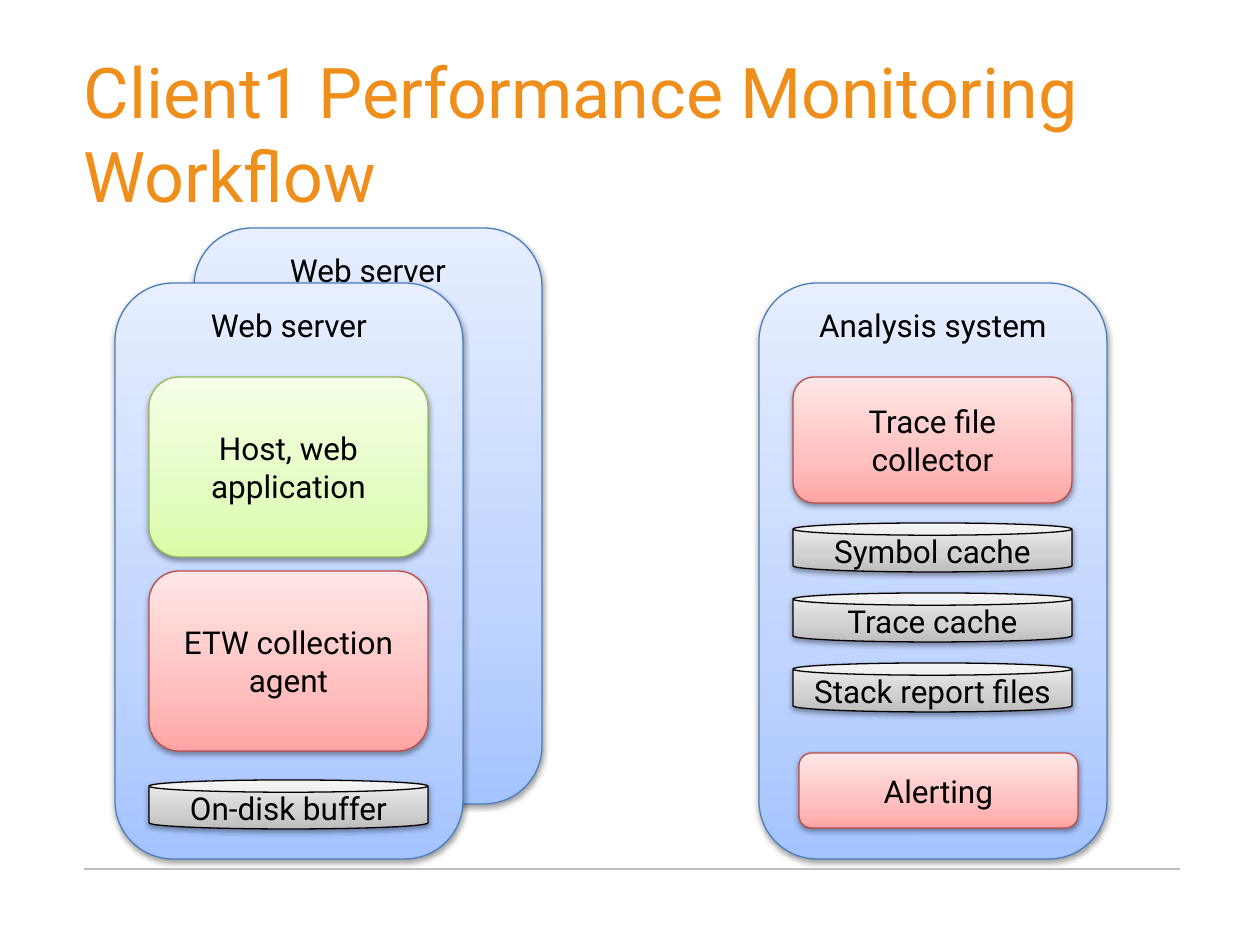
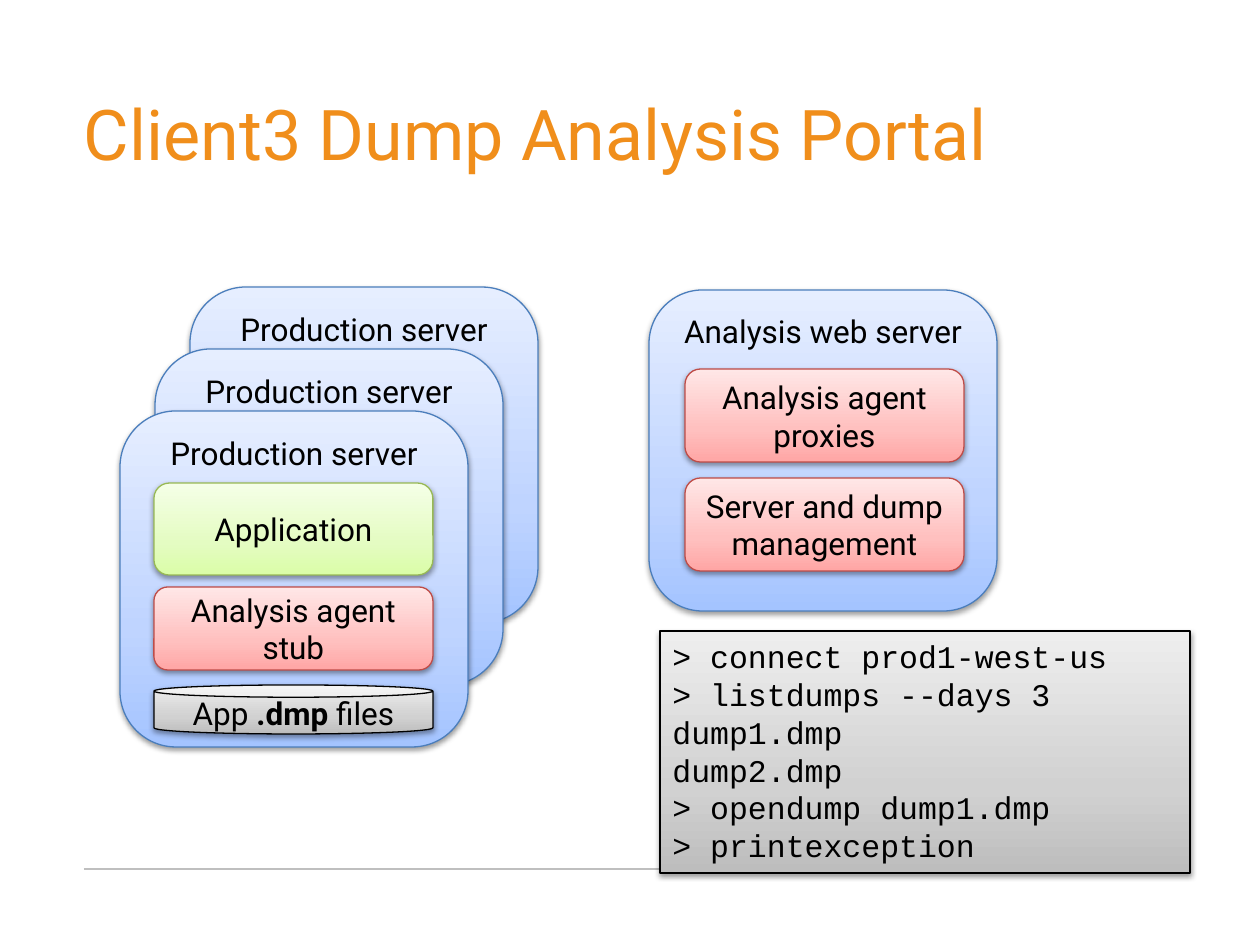
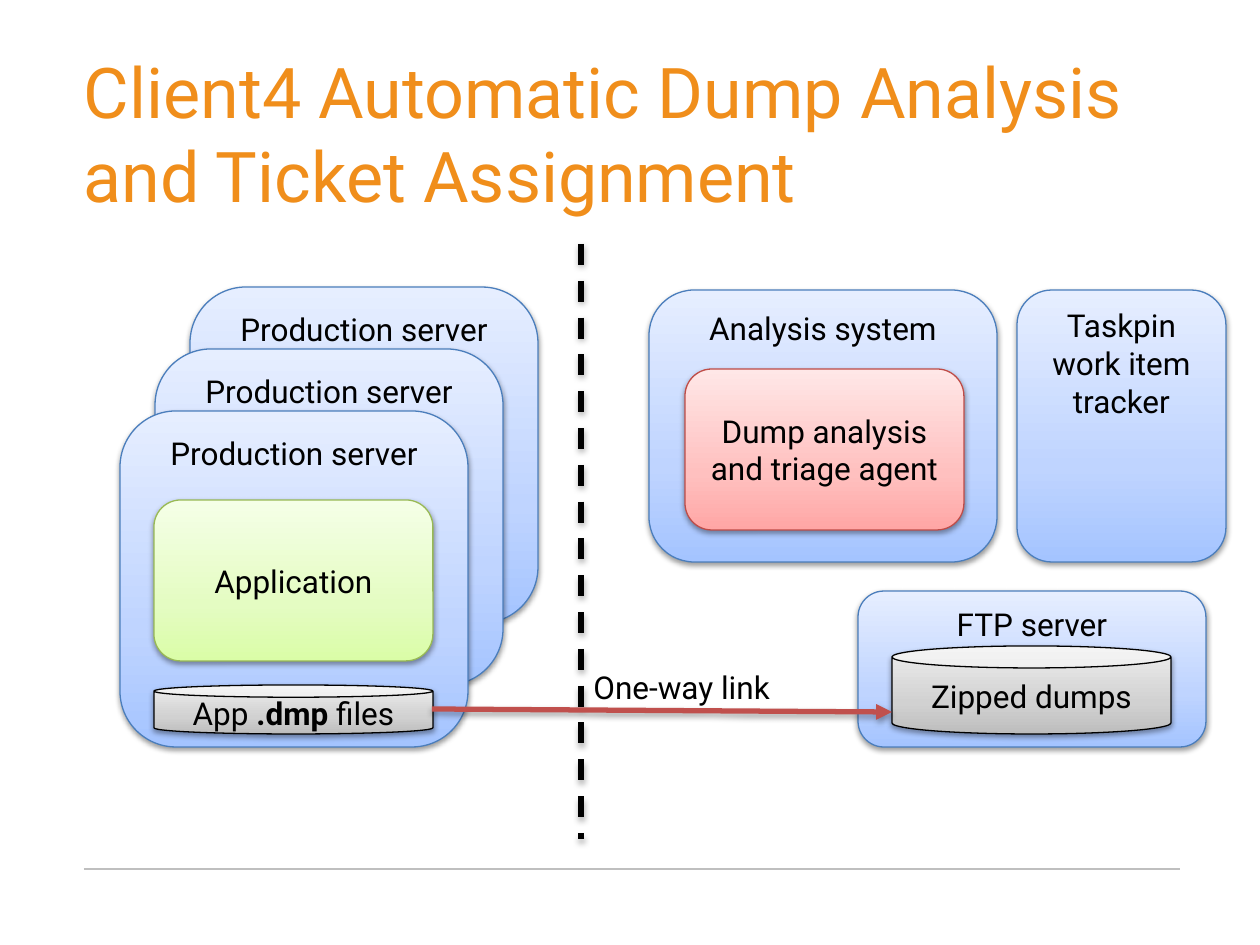
from copy import deepcopy
from typing import NamedTuple

from pptx import Presentation
from pptx.dml.color import RGBColor
from pptx.enum.dml import MSO_LINE
from pptx.enum.shapes import MSO_CONNECTOR, MSO_SHAPE
from pptx.enum.text import MSO_ANCHOR, MSO_AUTO_SIZE, PP_ALIGN
from pptx.oxml import parse_xml
from pptx.oxml.ns import nsdecls, qn
from pptx.util import Pt

PX = 914400 / 126
BODY_FONT, CODE_FONT = "Roboto", "Courier New"

ORANGE = RGBColor(0xF0, 0x8E, 0x1B)
BLACK = RGBColor(0x00, 0x00, 0x00)
RULE_GRAY = RGBColor(0xBF, 0xBF, 0xBF)
LINK_RED = RGBColor(0xC0, 0x50, 0x4D)
BLUE_EDGE = RGBColor(0x4B, 0x7E, 0xBC)
GREEN_EDGE = RGBColor(0x98, 0xB9, 0x55)
RED_EDGE = RGBColor(0xBF, 0x4C, 0x48)
BLUES = RGBColor(0xA4, 0xC4, 0xFF), RGBColor(0xBF, 0xD4, 0xFF), RGBColor(0xE6, 0xEE, 0xFF)
GREENS = RGBColor(0xDA, 0xFD, 0xA7), RGBColor(0xE4, 0xFC, 0xC2), RGBColor(0xF5, 0xFF, 0xE7)
REDS = RGBColor(0xFF, 0xA6, 0xA5), RGBColor(0xFF, 0xC0, 0xBF), RGBColor(0xFF, 0xE7, 0xE7)
GRAYS = RGBColor(0xBD, 0xBD, 0xBD), RGBColor(0xD1, 0xD1, 0xD1), RGBColor(0xEE, 0xEE, 0xEE)
GRADIENT_POSITIONS = 0, 0.35, 1


class Box(NamedTuple):
    left: int
    top: int
    width: int
    height: int


class Look(NamedTuple):
    preset: MSO_SHAPE
    gradient: tuple
    edge: RGBColor


class Part(NamedTuple):
    """A component in a server; top and indent are relative to the server."""
    look: Look
    label: str
    top: int
    height: int
    indent: int = 34


SERVER = Look(MSO_SHAPE.ROUNDED_RECTANGLE, BLUES, BLUE_EDGE)
APP = Look(MSO_SHAPE.ROUNDED_RECTANGLE, GREENS, GREEN_EDGE)
AGENT = Look(MSO_SHAPE.ROUNDED_RECTANGLE, REDS, RED_EDGE)
STORE = Look(MSO_SHAPE.CAN, GRAYS, BLACK)
CONSOLE = Look(MSO_SHAPE.RECTANGLE, GRAYS, BLACK)

SERVER_WIDTH, PART_WIDTH, STORE_HEIGHT = 348, 279, 49
PRODUCTION_BOX = Box(120, 411, SERVER_WIDTH, 336)
DUMP_FILES = Part(STORE, "App *.dmp* files", 274, STORE_HEIGHT)


def emu(*lengths):
    return [round(length * PX) for length in lengths]


def set_format(target, **values):
    for name, value in values.items():
        setattr(target, name, value)


def cast_shadow(shape, opacity, distance):
    shape._element.spPr.append(parse_xml(
        f'<a:effectLst {nsdecls("a")}><a:outerShdw blurRad="40000" dist="{distance}" '
        'dir="5400000" rotWithShape="0"><a:srgbClr val="000000">'
        f'<a:alpha val="{opacity}000"/></a:srgbClr></a:outerShdw></a:effectLst>'))


def write(frame, text, align=PP_ALIGN.CENTER, size=18, font=BODY_FONT, color=BLACK):
    """Fill the frame, one paragraph a line; words between asterisks are bold."""
    for index, line in enumerate(text.split("\n")):
        paragraph = frame.add_paragraph() if index else frame.paragraphs[0]
        paragraph.alignment = align
        for position, words in enumerate(line.split("*")):
            run = paragraph.add_run()
            run.text = words
            set_format(run.font, name=font, size=Pt(size), bold=position % 2 == 1)
            run.font.color.rgb = color


def add_block(slide, box, look, text, anchor=MSO_ANCHOR.MIDDLE, **text_format):
    block = slide.shapes.add_shape(look.preset, *emu(*box))
    block.fill.gradient()
    block.fill.gradient_angle = 90
    stops = block._element.spPr.find(".//" + qn("a:gsLst"))
    stops.append(deepcopy(stops[0]))
    for stop, color, position in zip(block.fill.gradient_stops, look.gradient, GRADIENT_POSITIONS):
        stop.color.rgb = color
        stop.position = position
    block.line.color.rgb = look.edge
    block.line.width = Pt(0.75)
    cast_shadow(block, 38, 20000)
    set_format(block.text_frame, vertical_anchor=anchor, word_wrap=True)
    write(block.text_frame, text, **text_format)


def add_server(slide, box, heading, parts=()):
    add_block(slide, box, SERVER, heading, MSO_ANCHOR.TOP)
    for part in parts:
        part_box = Box(box.left + part.indent, box.top + part.top, PART_WIDTH, part.height)
        add_block(slide, part_box, part.look, part.label)


def add_server_stack(slide, front, heading, parts, count, step_right, step_up):
    """Place the servers from back to front; only the front one shows its parts."""
    for depth in range(count - 1, 0, -1):
        behind = front._replace(left=front.left + depth * step_right,
                                top=front.top - depth * step_up)
        add_server(slide, behind, heading)
    add_server(slide, front, heading, parts)


def add_production_servers(slide, parts):
    add_server_stack(slide, PRODUCTION_BOX, "Production server", parts, 3, 35, 62)


def add_rule(slide, start, end, color, width):
    rule = slide.shapes.add_connector(MSO_CONNECTOR.STRAIGHT, *emu(*start, *end))
    rule.line.color.rgb = color
    rule.line.width = Pt(width)
    return rule


def add_titled_slide(deck, heading):
    slide = deck.slides.add_slide(deck.slide_layouts[5])
    footer_rule = add_rule(slide, (84, 869), (1180, 869), RULE_GRAY, 0.75)
    footer_rule._element.spPr.append(parse_xml(f'<a:effectLst {nsdecls("a")}/>'))
    title = slide.shapes.title
    left, top, width, height = emu(84, 66, 1101, 140)
    set_format(title, left=left, top=top, width=width, height=height)
    set_format(title.text_frame, margin_left=0, margin_top=0, margin_right=Pt(7.2),
               margin_bottom=Pt(3.6), vertical_anchor=MSO_ANCHOR.MIDDLE,
               word_wrap=True, auto_size=MSO_AUTO_SIZE.NONE)
    write(title.text_frame, heading, PP_ALIGN.LEFT, 40, color=ORANGE)
    return slide


def add_one_way_link(slide):
    boundary = add_rule(slide, (581, 244), (581, 839), BLACK, 3)
    boundary.line.dash_style = MSO_LINE.DASH
    link = add_rule(slide, (432, 709), (892, 712), LINK_RED, 3)
    link._element.spPr.find(qn("a:ln")).append(
        parse_xml(f'<a:tailEnd {nsdecls("a")} type="triangle"/>'))
    for line in (boundary, link):
        cast_shadow(line, 35, 23000)
    caption = slide.shapes.add_textbox(*emu(581, 662, 209, 50))
    caption.text_frame.word_wrap = False
    write(caption.text_frame, "One-way link", PP_ALIGN.LEFT)


def build_monitoring_workflow(deck):
    slide = add_titled_slide(deck, "Client1 Performance Monitoring Workflow")
    web_server = Box(115, 283, SERVER_WIDTH, 576)
    add_server_stack(slide, web_server, "Web server", [
        Part(APP, "Host, web application", 94, 180),
        Part(AGENT, "ETW collection agent", 288, 180),
        Part(STORE, "On-disk buffer", 497, STORE_HEIGHT),
    ], 2, 79, 55)
    caches = [Part(STORE, label, 240 + 70 * row, STORE_HEIGHT)
              for row, label in enumerate(("Symbol cache", "Trace cache", "Stack report files"))]
    add_server(slide, web_server._replace(left=759), "Analysis system", [
        Part(AGENT, "Trace file collector", 94, 126),
        *caches,
        Part(AGENT, "Alerting", 470, 75, 40),
    ])


def build_analysis_portal(deck):
    slide = add_titled_slide(deck, "Client3 Dump Analysis Portal")
    add_production_servers(slide, [
        Part(APP, "Application", 72, 92),
        Part(AGENT, "Analysis agent stub", 176, 83),
        DUMP_FILES,
    ])
    add_server(slide, Box(649, 290, SERVER_WIDTH, 321), "Analysis web server", [
        Part(AGENT, "Analysis agent proxies", 79, 93, 36),
        Part(AGENT, "Server and dump management", 188, 93, 36),
    ])
    session = ("> connect prod1-west-us\n> listdumps --days 3\ndump1.dmp\ndump2.dmp\n"
               "> opendump dump1.dmp\n> printexception")
    add_block(slide, Box(660, 631, 530, 242), CONSOLE, session, MSO_ANCHOR.TOP,
              align=PP_ALIGN.LEFT, font=CODE_FONT)


def build_ticket_assignment(deck):
    slide = add_titled_slide(deck, "Client4 Automatic Dump Analysis and Ticket Assignment")
    add_production_servers(slide, [Part(APP, "Application", 89, 161), DUMP_FILES])
    add_server(slide, Box(858, 591, SERVER_WIDTH, 156), "FTP server",
               [Part(STORE, "Zipped dumps", 55, 88)])
    analysis = Box(649, 290, SERVER_WIDTH, 272)
    add_server(slide, analysis, "Analysis system",
               [Part(AGENT, "Dump analysis and triage agent", 79, 161, 36)])
    add_server(slide, analysis._replace(left=1017, width=209), "Taskpin work item tracker")
    add_one_way_link(slide)


def main():
    deck = Presentation()
    deck.slide_width, deck.slide_height = emu(1260, 945)
    build_monitoring_workflow(deck)
    build_analysis_portal(deck)
    build_ticket_assignment(deck)
    deck.save("out.pptx")


if __name__ == "__main__":
    main()
